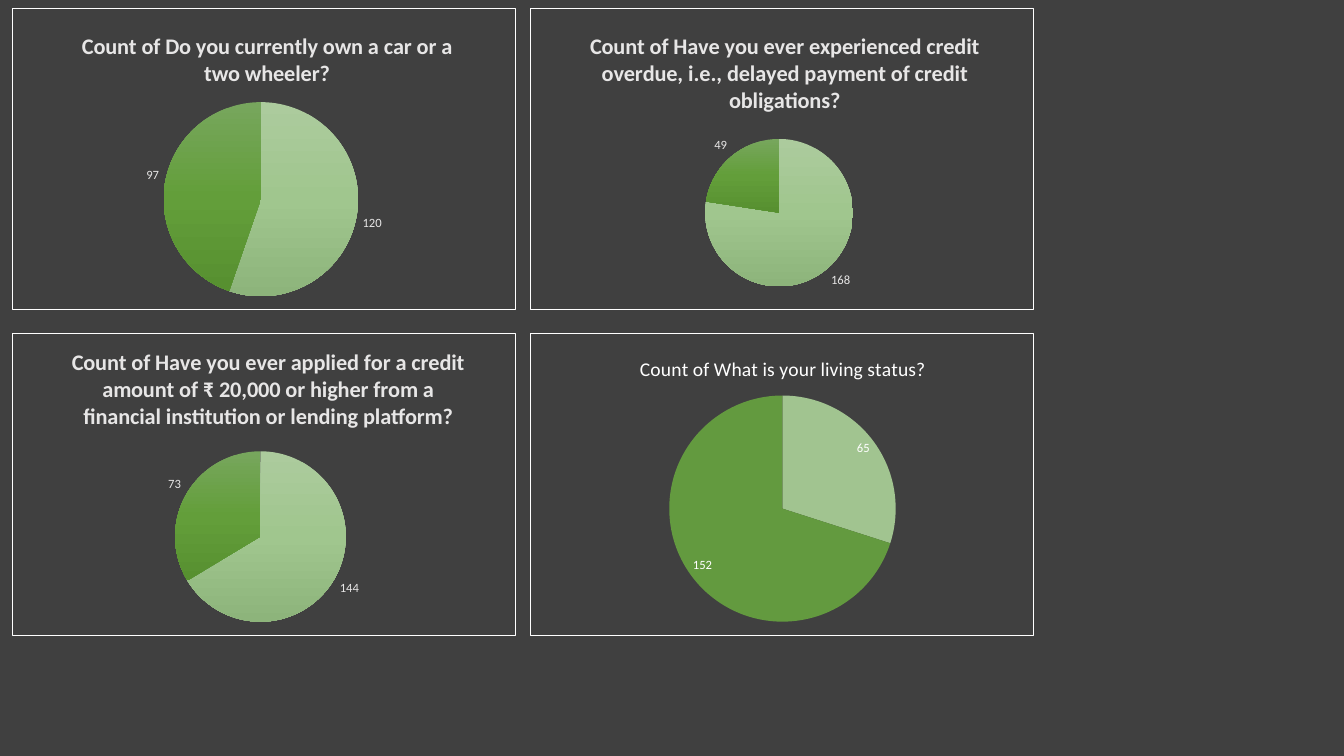
from lxml import etree
from pptx import Presentation
from pptx.chart.data import CategoryChartData
from pptx.dml.color import RGBColor
from pptx.enum.chart import XL_CHART_TYPE, XL_LABEL_POSITION
from pptx.oxml import parse_xml
from pptx.oxml.ns import nsdecls, qn
from pptx.util import Cm, Pt

PIE = XL_CHART_TYPE.PIE
OUTSIDE = XL_LABEL_POSITION.OUTSIDE_END
BEST_FIT = XL_LABEL_POSITION.BEST_FIT

COLORS = {
    "background": "404040",
    "white": "FFFFFF",
    "soft_white": "E7E6E6",
    "flat_light": "A1C490",
    "flat_dark": "639A3F",
}
GRADIENTS = [
    ["ACCB9D", "A0C68E", "8DB47B"],
    ["77A65D", "639E3A", "579030"],
]
FONT = "Calibri"

# Panel grid, in cm
PANEL_WIDTH, PANEL_HEIGHT = 12.7, 7.62
LEFT, TOP = 0.3, 0.2
COLUMN_STEP, ROW_STEP = 13.06, 8.2


class SurveySlide:
    """Holds the slide and the shared style of its pie panels."""

    def __init__(self, presentation):
        self.slide = presentation.slides.add_slide(presentation.slide_layouts[6])
        background = self.slide.background.fill
        background.solid()
        background.fore_color.rgb = self.color("background")

    def color(self, name):
        return RGBColor.from_string(COLORS[name])

    def style_font(self, font, size, color, bold=False):
        font.name, font.size, font.bold = FONT, Pt(size), bold
        font.color.rgb = self.color(color)

    def place(self, parent, index, **fractions):
        """Give a chart part a fixed place, as fractions of the panel."""
        for layout in parent.findall(qn("c:layout")):
            parent.remove(layout)
        layout = etree.Element(qn("c:layout"))
        manual = etree.SubElement(layout, qn("c:manualLayout"))
        if "w" in fractions:
            etree.SubElement(manual, qn("c:layoutTarget"), val="inner")
        for axis in "xy":
            etree.SubElement(manual, qn(f"c:{axis}Mode"), val="edge")
        for key, value in fractions.items():
            etree.SubElement(manual, qn(f"c:{key}"), val=f"{value:.4f}")
        parent.insert(index, layout)

    def add_border(self, chart):
        border = parse_xml(
            f'<c:spPr {nsdecls("c", "a")}><a:noFill/><a:ln w="{Pt(0.75)}"><a:solidFill>'
            f'<a:srgbClr val="{COLORS["white"]}"/></a:solidFill></a:ln></c:spPr>')
        chart.element.find(qn("c:chart")).addnext(border)

    def fill_gradient(self, point, stops):
        point.format.fill.background()
        no_fill = next(point.format.element.iter(qn("a:noFill"))) \
            if hasattr(point.format, "element") else None
        return no_fill

    def add_slices(self, series, flat):
        for index, (stops, name) in enumerate(zip(GRADIENTS, ("flat_light", "flat_dark"))):
            fill = series.points[index].format.fill
            fill.solid()
            fill.fore_color.rgb = self.color(name)
            if flat:
                continue
            solid = series._element.findall(qn("c:dPt"))[index].find(
                f"{qn('c:spPr')}/{qn('a:solidFill')}")
            marks = "".join(
                f'<a:gs pos="{step * 50000}"><a:srgbClr val="{stop}"/></a:gs>'
                for step, stop in enumerate(stops))
            gradient = parse_xml(
                f'<a:gradFill {nsdecls("a")} rotWithShape="1"><a:gsLst>{marks}</a:gsLst>'
                '<a:lin ang="5400000" scaled="0"/></a:gradFill>')
            solid.getparent().replace(solid, gradient)

    def add_pie(self, column, row, question, counts, pie, title_at, flat=False):
        answers = CategoryChartData()
        answers.categories = ["1", "2"]
        answers.add_series("Series 1", counts)
        chart = self.slide.shapes.add_chart(
            PIE, Cm(LEFT + column * COLUMN_STEP), Cm(TOP + row * ROW_STEP),
            Cm(PANEL_WIDTH), Cm(PANEL_HEIGHT), answers).chart
        self.style_font(chart.font, 10, "white")
        chart.has_legend = False
        self.add_border(chart)

        # Title
        chart.has_title = True
        heading = chart.chart_title.text_frame
        heading.text = question
        self.style_font(heading.paragraphs[0].font, 14 if flat else 16,
                        "white" if flat else "soft_white", bold=not flat)
        title_x, title_y = title_at
        self.place(chart.element.find(f".//{qn('c:title')}"), 1, x=title_x, y=title_y)

        # Pie and value labels
        plot = chart.plots[0]
        plot.vary_by_categories = True
        self.add_slices(plot.series[0], flat)
        labels = plot.series[0].data_labels
        labels.show_value = True
        labels.position = BEST_FIT if flat else OUTSIDE
        self.style_font(labels.font, 9, "white" if flat else "soft_white")
        left, top, diameter = pie
        self.place(chart.element.find(f".//{qn('c:plotArea')}"), 0,
                   x=left / PANEL_WIDTH, y=top / PANEL_HEIGHT,
                   w=diameter / PANEL_WIDTH, h=diameter / PANEL_HEIGHT)


def main():
    presentation = Presentation()
    presentation.slide_width, presentation.slide_height = Cm(33.87), Cm(19.05)
    survey = SurveySlide(presentation)

    # Vehicle and credit questions
    survey.add_pie(0, 0, "Count of Do you currently own a car or a two wheeler?",
                   (120, 97), (3.82, 2.37, 4.91), (0.13, 0.06))
    survey.add_pie(1, 0, "Count of Have you ever experienced credit overdue, "
                   "i.e., delayed payment of credit obligations?",
                   (168, 49), (4.41, 3.3, 3.73), (0.11, 0.06))
    survey.add_pie(0, 1, "Count of Have you ever applied for a credit amount of "
                   "₹ 20,000 or higher from a financial institution or lending platform?",
                   (144, 73), (4.11, 2.97, 4.31), (0.11, 0.03))

    # Living status
    survey.add_pie(1, 1, "Count of What is your living status?",
                   (65, 152), (3.5, 1.56, 5.72), (0.21, 0.06), flat=True)

    presentation.save("out.pptx")


if __name__ == "__main__":
    main()
